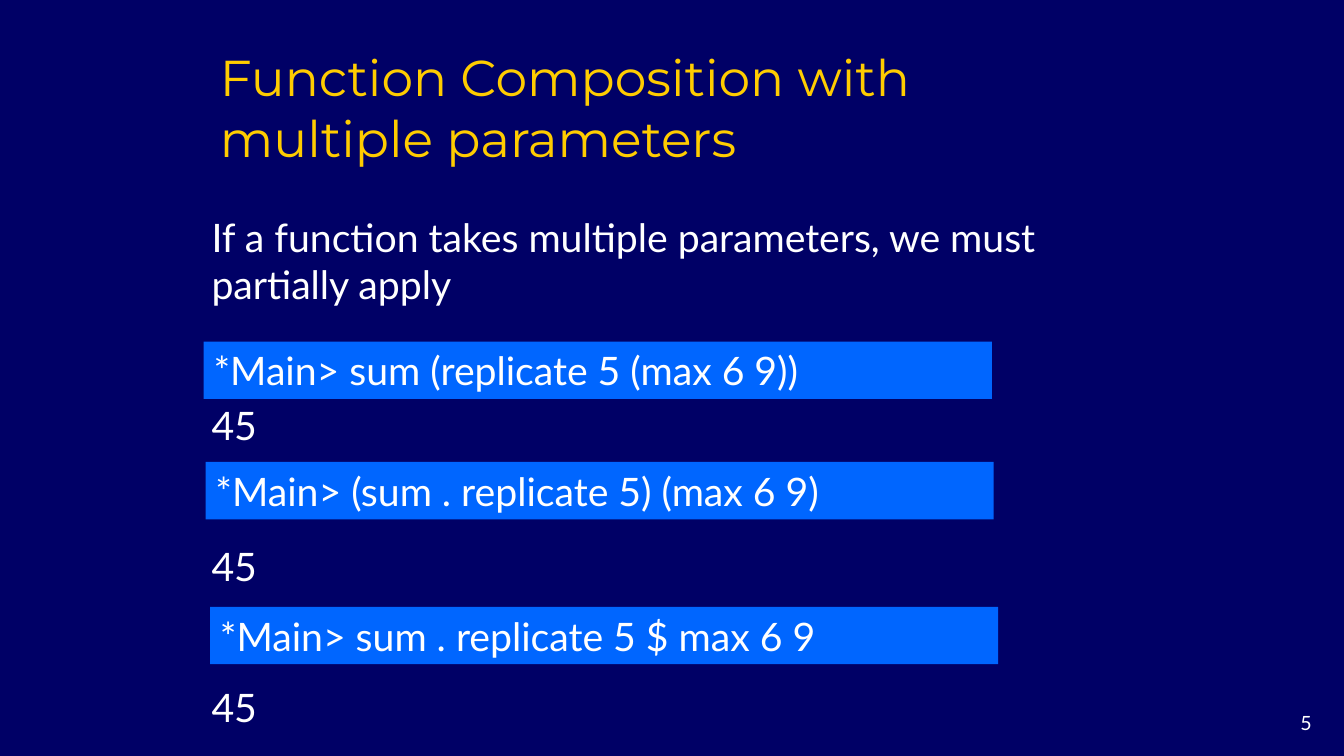
from pptx import Presentation
from pptx.dml.color import RGBColor
from pptx.enum.shapes import MSO_SHAPE
from pptx.enum.text import MSO_ANCHOR, PP_ALIGN
from pptx.util import Pt

NAVY = RGBColor(0x00, 0x00, 0x66)
BLUE = RGBColor(0x00, 0x66, 0xFF)
GOLD = RGBColor(0xFF, 0xCC, 0x00)
WHITE = RGBColor(0xFF, 0xFF, 0xFF)


def write(frame, *lines, size=28, font="Lato", color=WHITE,
          align=PP_ALIGN.LEFT, anchor=MSO_ANCHOR.MIDDLE, gap=0):
    """Fill a frame with one paragraph per line, gap points apart."""
    frame.word_wrap = True
    frame.vertical_anchor = anchor
    for i, line in enumerate(lines):
        para = frame.add_paragraph() if i else frame.paragraphs[0]
        para.alignment = align
        para.space_before = Pt(gap if i else 0)
        run = para.add_run()
        run.text = line
        run.font.size = Pt(size)
        run.font.name = font
        run.font.color.rgb = color


class Deck:
    def __init__(self):
        self.show = Presentation()
        self.show.slide_width, self.show.slide_height = Pt(960), Pt(540)
        self.slide = self.show.slides.add_slide(self.show.slide_layouts[6])
        fill = self.slide.background.fill
        fill.solid()
        fill.fore_color.rgb = NAVY

    def text(self, box, *lines, **style):
        shape = self.slide.shapes.add_textbox(*map(Pt, box))
        write(shape.text_frame, *lines, **style)

    def code(self, left, top, line):
        shape = self.slide.shapes.add_shape(
            MSO_SHAPE.RECTANGLE, Pt(left), Pt(top), Pt(563), Pt(41))
        shape.shadow.inherit = False
        shape.fill.solid()
        shape.fill.fore_color.rgb = BLUE
        shape.line.fill.background()
        write(shape.text_frame, line)


def main():
    deck = Deck()

    # Page number
    deck.text((880, 504, 64, 24), "5", size=14, align=PP_ALIGN.RIGHT,
              anchor=MSO_ANCHOR.TOP)

    # Rule and results, two lines apart
    deck.text((144, 147, 650, 380),
              "If a function takes multiple parameters, we must partially apply",
              "45", "45", "45", gap=67.2)

    # Title
    deck.text((150, 29.5, 612, 98.6),
              "Function Composition with multiple parameters",
              size=36, font="Montserrat", color=GOLD, anchor=MSO_ANCHOR.TOP)

    # Prompts
    for left, top, line in (
            (145.5, 244, "*Main> sum (replicate 5 (max 6 9))"),
            (146.8, 330, "*Main> (sum . replicate 5) (max 6 9)"),
            (150, 433.5, "*Main> sum . replicate 5 $ max 6 9")):
        deck.code(left, top, line)

    deck.show.save("out.pptx")


if __name__ == "__main__":
    main()
